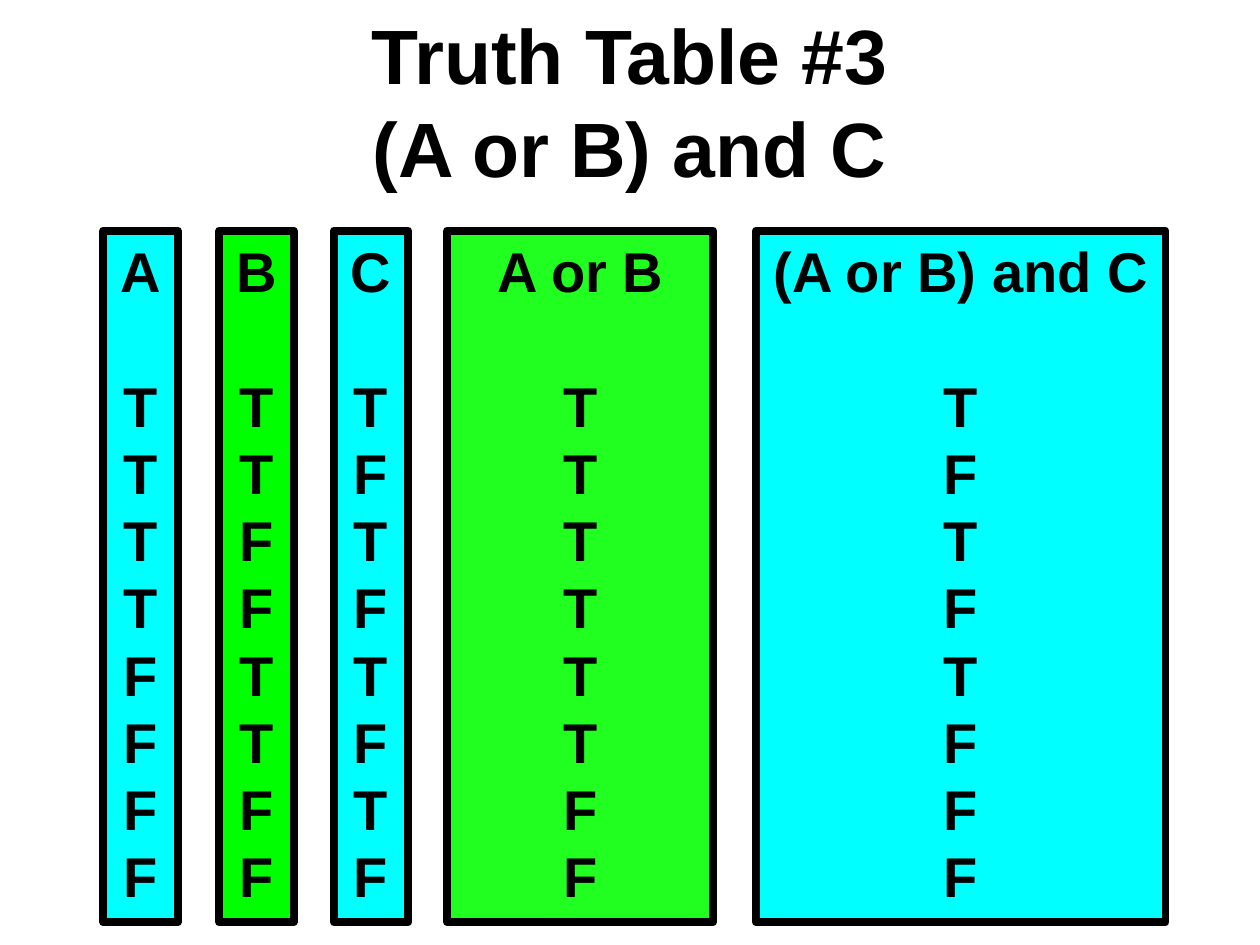
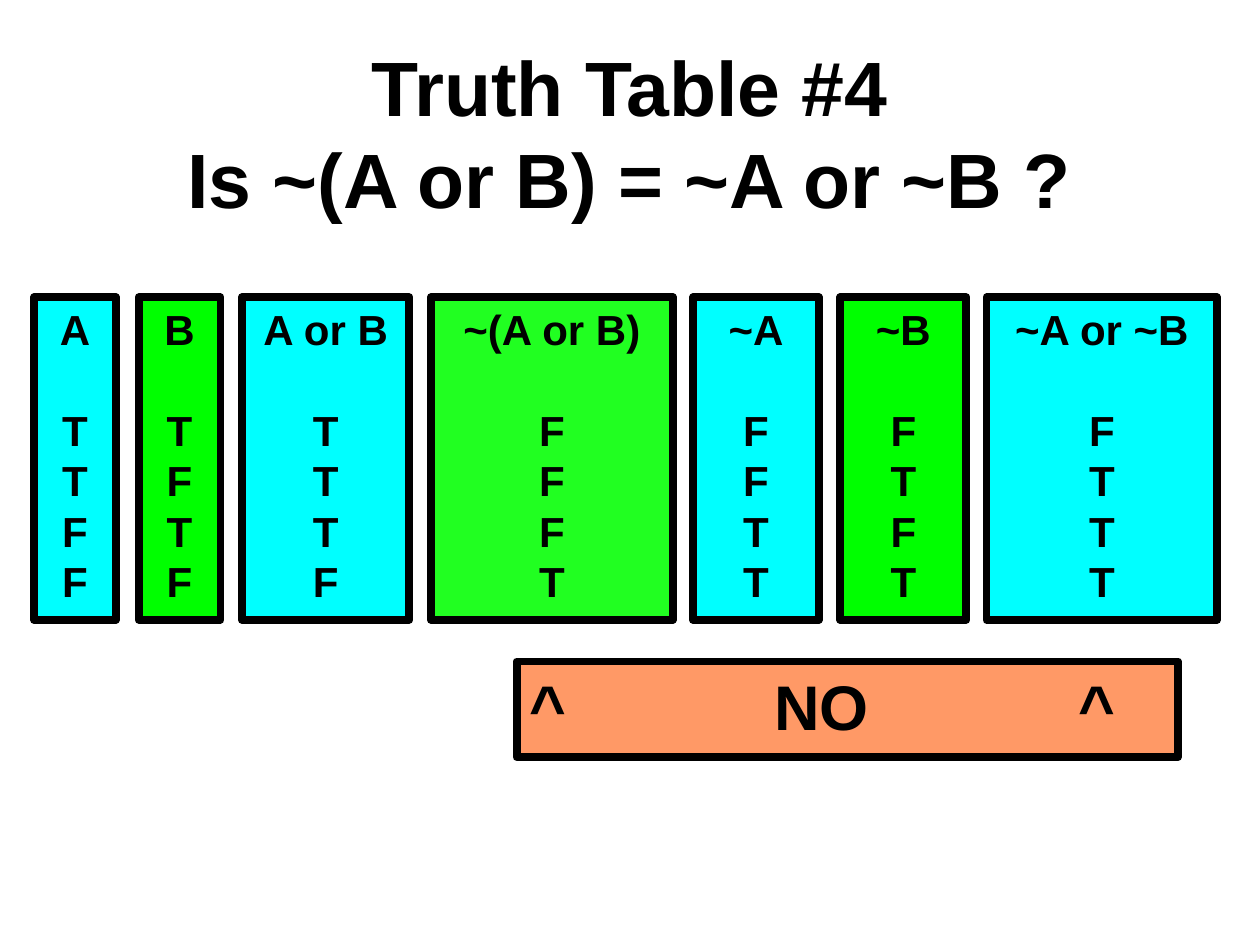
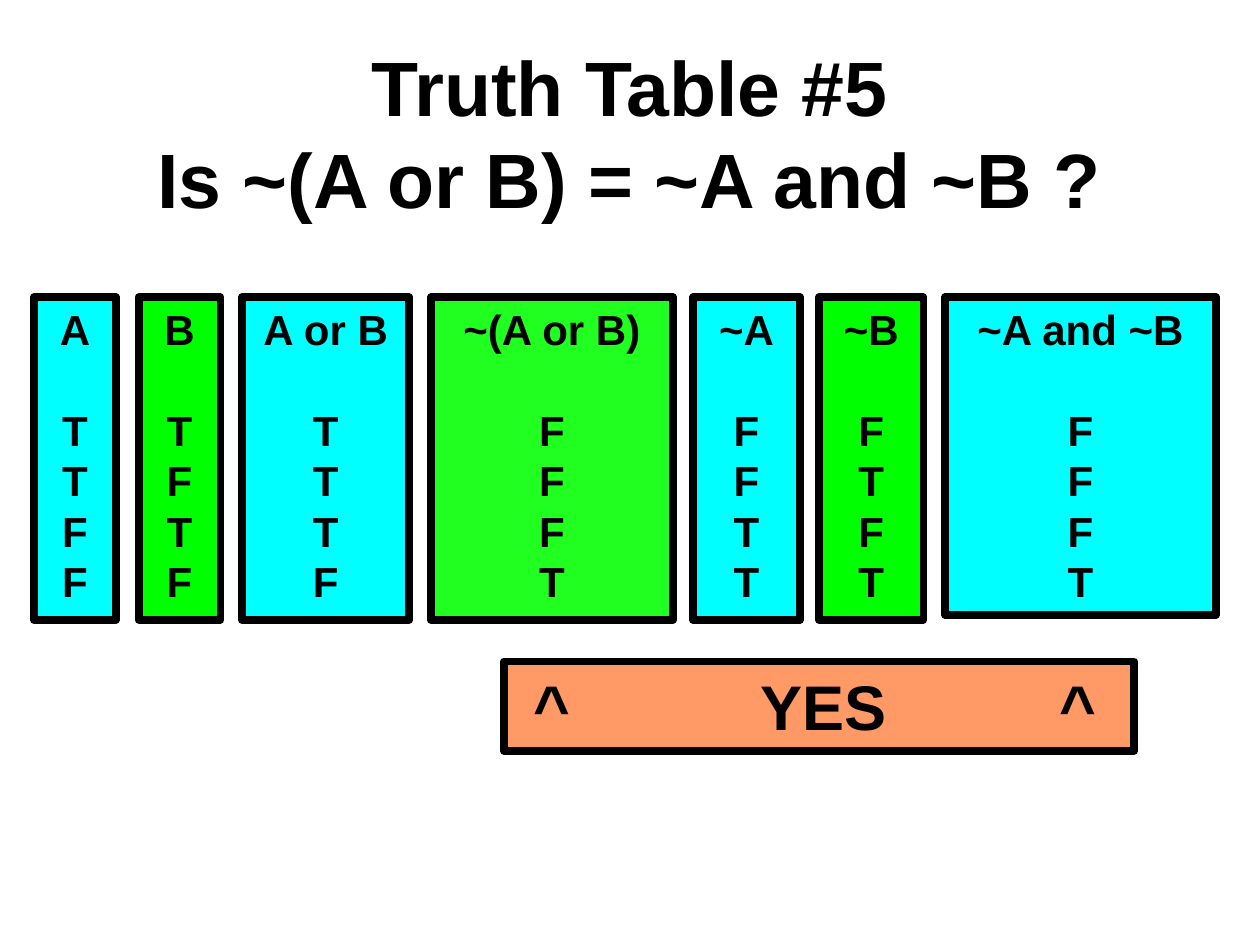
import dataclasses
import itertools

import pptx
import pptx.dml.color
import pptx.enum.shapes
import pptx.enum.text
import pptx.oxml.ns
import pptx.util
from lxml import etree

Inches = pptx.util.Inches
Pt = pptx.util.Pt
RGBColor = pptx.dml.color.RGBColor
PP_ALIGN = pptx.enum.text.PP_ALIGN

BLACK = RGBColor(0x00, 0x00, 0x00)
CYAN = RGBColor(0x00, 0xFF, 0xFF)
GREEN = RGBColor(0x00, 0xFF, 0x00)
BRIGHT_GREEN = RGBColor(0x21, 0xFF, 0x21)
ORANGE = RGBColor(0xFF, 0x99, 0x66)
COLUMN_COLORS = (CYAN, GREEN, CYAN, BRIGHT_GREEN)

FONT = "Arial"
SLIDE_WIDTH, SLIDE_HEIGHT = 10, 7.5
TITLE_HEIGHT = SLIDE_HEIGHT / 6
LINE_PITCH = 1.2  # line height as a share of the font size


@dataclasses.dataclass
class Column:
    heading: str
    values: str
    left: float
    width: float
    height: float = 2.56


@dataclasses.dataclass
class Verdict:
    words: tuple
    centers: tuple  # tab stops, from the left inset
    left: float
    width: float
    height: float


@dataclasses.dataclass
class TruthTable:
    title: tuple
    title_top: float
    top: float
    font_size: int
    columns: list
    verdict: Verdict = None


# Content
NOT_A_OR_B = [
    Column("A", "TTFF", 0.27, 0.65),
    Column("B", "TFTF", 1.10, 0.65),
    Column("A or B", "TTTF", 1.92, 1.33),
    Column("~(A or B)", "FFFT", 3.42, 1.92),
]

TABLES = [
    TruthTable(
        ("Truth Table #3", "(A or B) and C"), 0.17, 1.83, 32,
        [
            Column("A", "TTTTFFFF", 0.82, 0.59, 5.49),
            Column("B", "TTFFTTFF", 1.74, 0.59, 5.49),
            Column("C", "TFTFTFTF", 2.65, 0.59, 5.49),
            Column("A or B", "TTTTTTFF", 3.55, 2.11, 5.49),
            Column("(A or B) and C", "TFTFTFFF", 6, 3.25, 5.49),
        ],
    ),
    TruthTable(
        ("Truth Table #4", "Is ~(A or B) = ~A or ~B ?"), 0.42, 2.36, 24,
        NOT_A_OR_B + [
            Column("~A", "FFTT", 5.5, 1),
            Column("~B", "FTFT", 6.67, 1),
            Column("~A or ~B", "FTTT", 7.83, 1.83),
        ],
        Verdict(("^", "NO", "^"), (0.15, 2.32, 4.51), 4.1, 5.25, 0.76),
    ),
    TruthTable(
        ("Truth Table #5", "Is ~(A or B) = ~A and ~B ?"), 0.42, 2.36, 24,
        NOT_A_OR_B + [
            Column("~A", "FFTT", 5.5, 0.85),
            Column("~B", "FTFT", 6.5, 0.83),
            Column("~A and ~B", "FFFT", 7.5, 2.15, 2.52),
        ],
        Verdict(("^", "YES", "^"), (0.28, 2.44, 4.46), 4, 5, 0.71),
    ),
]
VERDICT_TOP = 0.7 * SLIDE_HEIGHT


def format_text(text_frame, size, alignment):
    for paragraph in text_frame.paragraphs:
        paragraph.alignment = alignment
        for run in paragraph.runs:
            run.font.name = FONT
            run.font.size = Pt(size)
            run.font.bold = True
            run.font.color.rgb = BLACK


def add_title(slide, lines, top):
    title = slide.shapes.title
    title.left, title.top = 0, Inches(top)
    title.width, title.height = Inches(SLIDE_WIDTH), Inches(TITLE_HEIGHT)
    text_frame = title.text_frame
    text_frame.text = "\v".join(lines)
    text_frame.auto_size = pptx.enum.text.MSO_AUTO_SIZE.NONE
    text_frame.vertical_anchor = pptx.enum.text.MSO_ANCHOR.MIDDLE
    format_text(text_frame, 44, PP_ALIGN.CENTER)


def add_box(slide, left, top, width, height, color, text, size, alignment):
    box = slide.shapes.add_shape(
        pptx.enum.shapes.MSO_SHAPE.RECTANGLE,
        Inches(left), Inches(top), Inches(width), Inches(height))
    box.shadow.inherit = False
    box.fill.solid()
    box.fill.fore_color.rgb = color
    box.line.color.rgb = BLACK
    box.line.width = Pt(4.5)
    text_frame = box.text_frame
    text_frame.text = text
    text_frame.word_wrap = True
    text_frame.vertical_anchor = pptx.enum.text.MSO_ANCHOR.TOP
    format_text(text_frame, size, alignment)
    return text_frame


def add_column(slide, column, top, size, color):
    text = "\n".join([column.heading, *column.values])
    text_frame = add_box(slide, column.left, top, column.width, column.height,
                         color, text, size, PP_ALIGN.CENTER)
    # One free line below the heading
    text_frame.paragraphs[0].space_after = Pt(LINE_PITCH * size)


def add_verdict(slide, verdict):
    text = "".join("\t" + word for word in verdict.words)
    text_frame = add_box(slide, verdict.left, VERDICT_TOP, verdict.width,
                         verdict.height, ORANGE, text, 36, PP_ALIGN.LEFT)
    # Centred tab stops place the answer and the two pointers
    properties = text_frame.paragraphs[0]._p.get_or_add_pPr()
    tab_list = etree.SubElement(properties, pptx.oxml.ns.qn("a:tabLst"))
    for center in verdict.centers:
        etree.SubElement(tab_list, pptx.oxml.ns.qn("a:tab"),
                         pos=str(Inches(center)), algn="ctr")


def main():
    presentation = pptx.Presentation()
    presentation.slide_width = Inches(SLIDE_WIDTH)
    presentation.slide_height = Inches(SLIDE_HEIGHT)
    title_only = presentation.slide_layouts[5]
    for table in TABLES:
        slide = presentation.slides.add_slide(title_only)
        add_title(slide, table.title, table.title_top)
        for column, color in zip(table.columns, itertools.cycle(COLUMN_COLORS)):
            add_column(slide, column, table.top, table.font_size, color)
        if table.verdict:
            add_verdict(slide, table.verdict)
    presentation.save("out.pptx")


if __name__ == "__main__":
    main()
